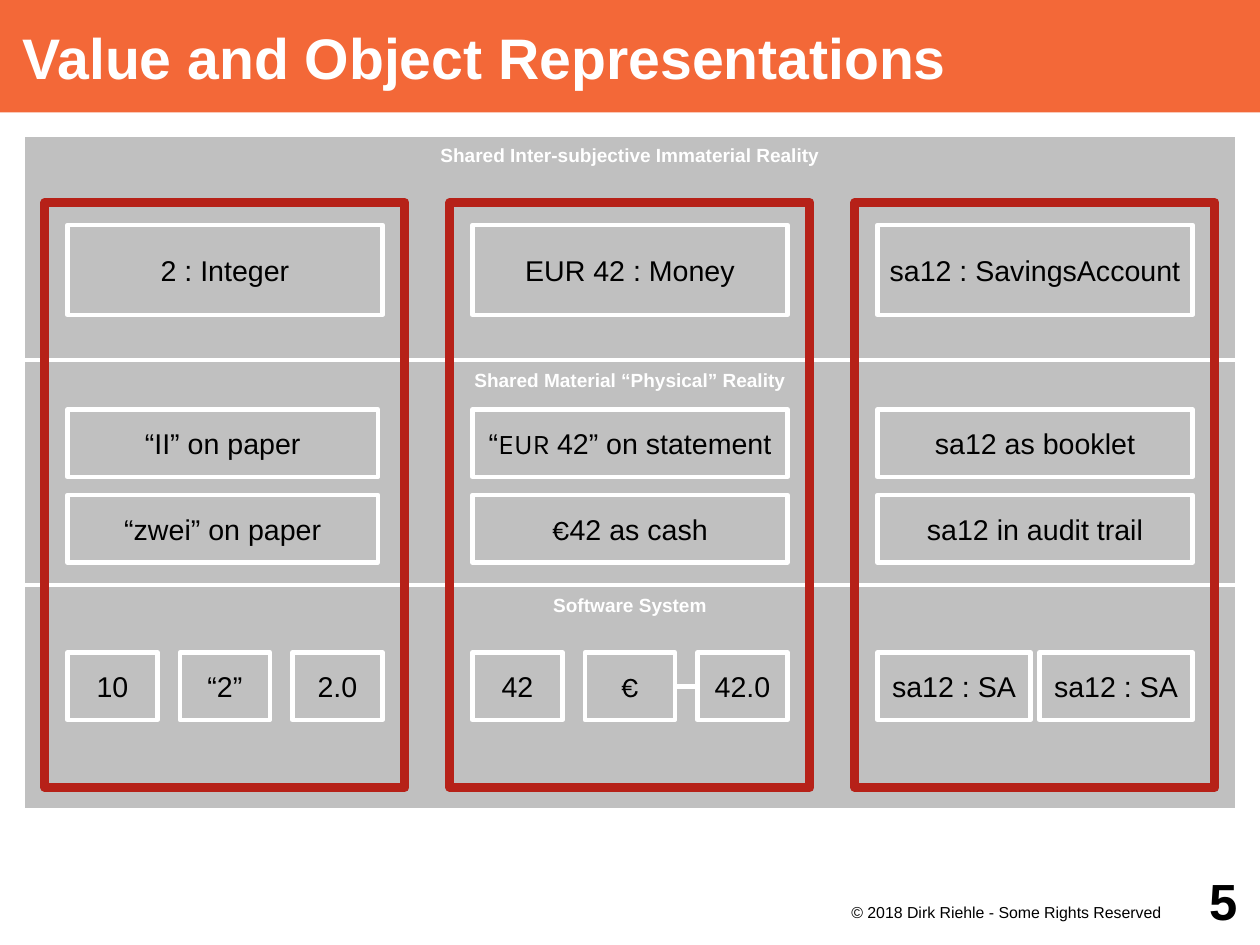
from lxml import etree
from pptx import Presentation
from pptx import util as u
from pptx.dml.color import RGBColor
from pptx.enum import shapes, text
from pptx.oxml import ns

ORANGE = RGBColor(0xF3, 0x68, 0x38)
GRAY = RGBColor(0xC0, 0xC0, 0xC0)
RED = RGBColor(0xB6, 0x21, 0x18)
WHITE = RGBColor(0xFF, 0xFF, 0xFF)
BLACK = RGBColor(0x00, 0x00, 0x00)

BODY_FONT = "Arial"
CURRENCY_FONT = "Karla"
THIN, THICK = u.Pt(2.83), u.Pt(5.67)
CENTER, LEFT, RIGHT = text.PP_ALIGN.CENTER, text.PP_ALIGN.LEFT, text.PP_ALIGN.RIGHT
TOP, MIDDLE = text.MSO_ANCHOR.TOP, text.MSO_ANCHOR.MIDDLE

BANDS = [
    "Shared Inter-subjective Immaterial Reality",
    "Shared Material “Physical” Reality",
    "Software System",
]
EURO = ("€", CURRENCY_FONT)
COLUMNS = [
    dict(concept="2 : Integer", physical=["“II” on paper", "“zwei” on paper"],
         software=["10", "“2”", "2.0"], physical_width=6.9),
    dict(concept="EUR 42 : Money",
         physical=[["“", ("EUR ", CURRENCY_FONT), "42” on statement"], [EURO, "42 as cash"]],
         software=["42", [EURO], "42.0"], linked=(1, 2)),
    dict(concept="sa12 : SavingsAccount", physical=["sa12 as booklet", "sa12 in audit trail"],
         software=["sa12 : SA", "sa12 : SA"], software_width=3.4),
]


def write(shape, content, size=18, color=BLACK, bold=False, align=CENTER,
          anchor=MIDDLE, insets=(0.2, 0.2, 0.2, 0.2), wrap=False):
    """Write a string, or a list of strings and (string, font) pairs, into a shape."""
    frame = shape.text_frame
    frame.word_wrap = wrap
    frame.vertical_anchor = anchor
    frame.margin_left, frame.margin_top, frame.margin_right, frame.margin_bottom = map(u.Cm, insets)
    paragraph = frame.paragraphs[0]
    paragraph.alignment = align
    for piece in [content] if isinstance(content, str) else content:
        words, font_name = (piece, BODY_FONT) if isinstance(piece, str) else piece
        run = paragraph.add_run()
        run.text = words
        run.font.name = font_name
        run.font.size = u.Pt(size)
        run.font.bold = bold
        run.font.color.rgb = color


def add_box(slide, left, top, width, height, fill=GRAY, line=WHITE, weight=THIN):
    """Add a rectangle, measured in centimetres, without a shadow."""
    box = slide.shapes.add_shape(shapes.MSO_SHAPE.RECTANGLE, *map(u.Cm, (left, top, width, height)))
    box.shadow.inherit = False
    if fill is None:
        box.fill.background()
    else:
        box.fill.solid()
        box.fill.fore_color.rgb = fill
    if line is None:
        box.line.fill.background()
    else:
        box.line.color.rgb = line
        box.line.width = weight
    return box


def add_card(slide, content, left, top, width, height):
    """Add a labelled gray card."""
    card = add_box(slide, left, top, width, height)
    write(card, content)
    return card


def join_cards(slide, first, second):
    """Join the right side of one card to the left side of the next."""
    link = slide.shapes.add_connector(shapes.MSO_CONNECTOR.STRAIGHT, 0, 0, 0, 0)
    link.begin_connect(first, 3)
    link.end_connect(second, 1)
    link.line.color.rgb = WHITE
    link.line.width = THIN
    etree.SubElement(link._element.spPr, ns.qn("a:effectLst"))


def add_title(slide, title, left, top, width, height):
    """Add the title bar."""
    bar = add_box(slide, left, top, width, height, fill=ORANGE, line=None)
    write(bar, title, size=36, color=WHITE, bold=True, align=LEFT, insets=(0.5, 0, 0, 0), wrap=True)


def add_bands(slide, left, top, width, height):
    """Stack the bands of reality in equal heights."""
    band_height = height / len(BANDS)
    for index, label in enumerate(BANDS):
        band = add_box(slide, left, top + index * band_height, width, band_height)
        write(band, label, size=12, color=WHITE, bold=True, anchor=TOP)


def add_column(slide, left, top, width, height, concept, physical, software,
               physical_width=7, software_width=2, linked=None):
    """Add a red frame around the representations of one concept."""
    inner_left, inner_width = left + 0.5, width - 1
    add_card(slide, concept, inner_left, top + 0.5, inner_width, 2)
    for index, content in enumerate(physical):
        add_card(slide, content, inner_left, top + 4.6 + index * 1.9, physical_width, 1.5)
    pitch = (inner_width - software_width) / (len(software) - 1)
    cards = [add_card(slide, content, inner_left + index * pitch, top + 10, software_width, 1.5)
             for index, content in enumerate(software)]
    if linked:
        join_cards(slide, *(cards[index] for index in linked))
    add_box(slide, left, top, width, height, fill=None, line=RED, weight=THICK)


def add_footer(slide, left, top, width, height):
    """Add the copyright line and the slide number."""
    number_width = 2.5
    notice = slide.shapes.add_textbox(*map(u.Cm, (left, top + 1, 8, height - 1)))
    write(notice, "© 2018 Dirk Riehle - Some Rights Reserved", size=10, align=RIGHT,
          anchor=TOP, insets=(0, 0.05, 0.2, 0), wrap=True)
    number = slide.shapes.add_textbox(
        *map(u.Cm, (left + width - number_width, top, number_width, height)))
    write(number, "5", size=32, bold=True, align=RIGHT, insets=(0, 0, 0.5, 0), wrap=True)


def main():
    """Build and save the presentation."""
    presentation = Presentation()
    presentation.slide_width, presentation.slide_height = u.Cm(28), u.Cm(21)
    slide = presentation.slides.add_slide(presentation.slide_layouts[6])
    add_title(slide, "Value and Object Representations", 0, 0, 28, 2.5)
    add_bands(slide, 0.5, 3, 27, 15)
    for index, column in enumerate(COLUMNS):
        add_column(slide, 1 + index * 9, 4.5, 8, 13, **column)
    add_footer(slide, 18, 19, 10, 2)
    presentation.save("out.pptx")


if __name__ == "__main__":
    main()
